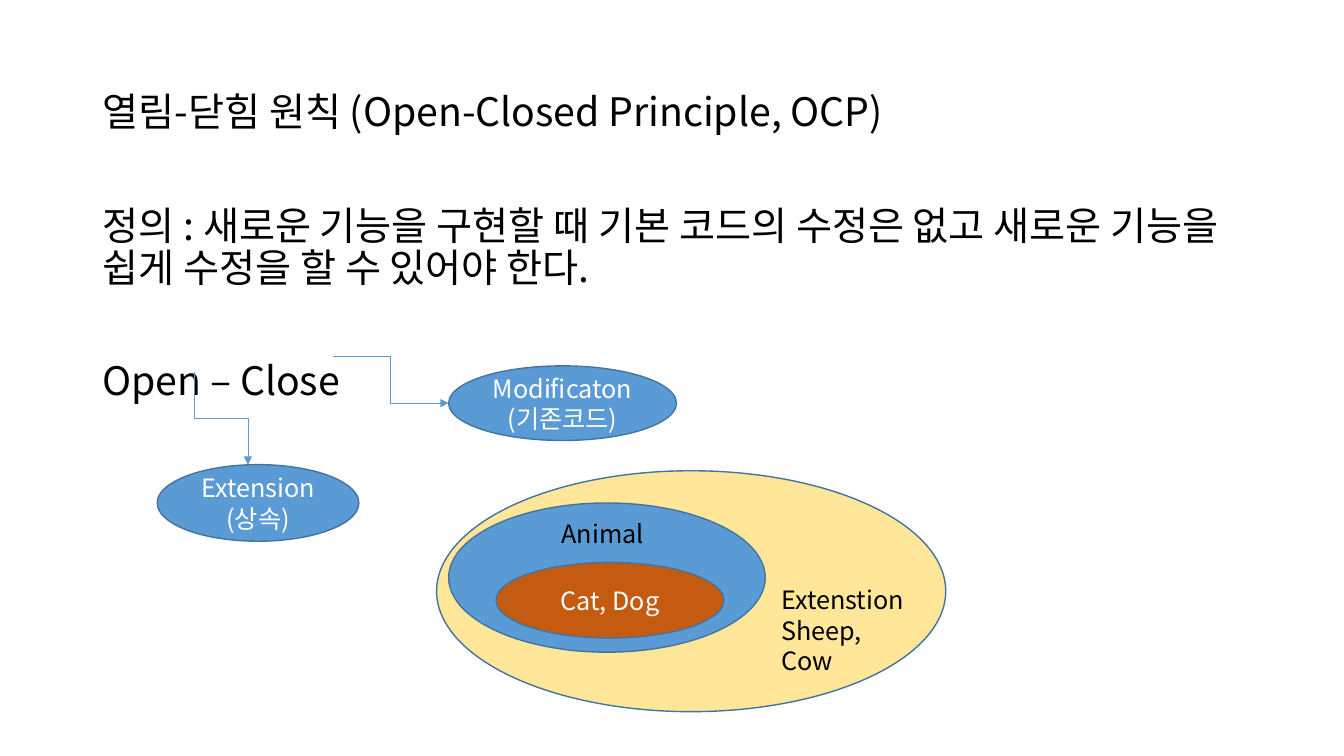
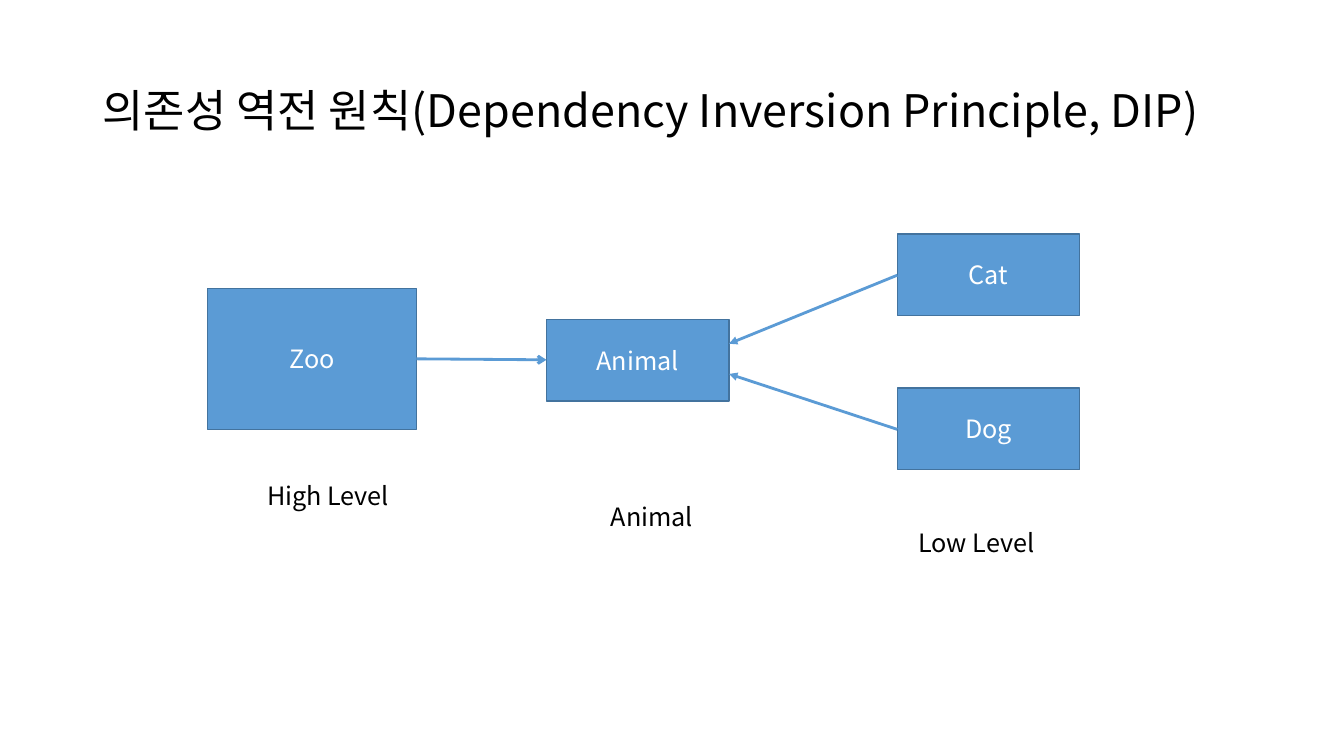
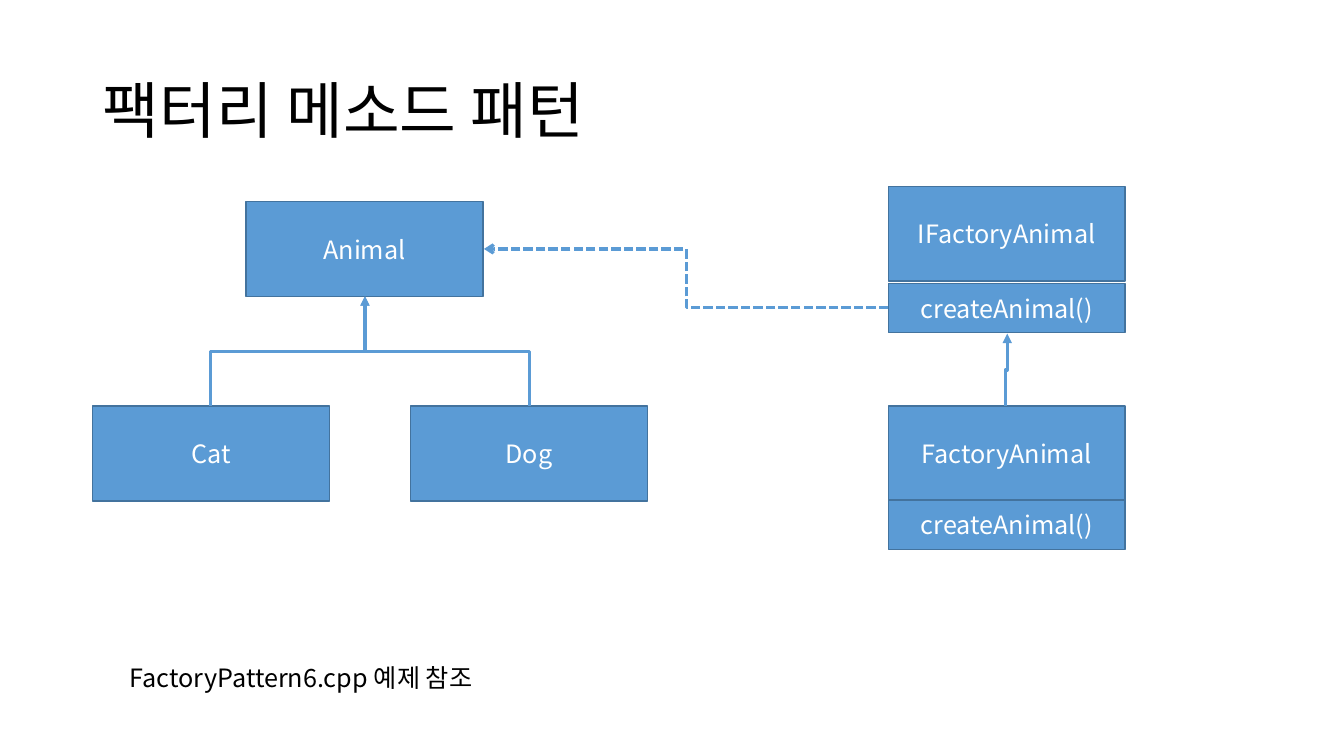
"""Build three slides on the open-closed principle, dependency inversion and the factory method."""
import dataclasses

import lxml.etree
import pptx
import pptx.dml.color
import pptx.enum.dml
import pptx.enum.shapes
import pptx.enum.text
import pptx.oxml.ns
import pptx.util

Inches = pptx.util.Inches
Pt = pptx.util.Pt
RGB = pptx.dml.color.RGBColor.from_string
qn = pptx.oxml.ns.qn
ALIGN = pptx.enum.text.PP_ALIGN
ANCHOR = pptx.enum.text.MSO_ANCHOR
OVAL = pptx.enum.shapes.MSO_SHAPE.OVAL
RECT = pptx.enum.shapes.MSO_SHAPE.RECTANGLE


@dataclasses.dataclass(frozen=True)
class Theme:
    font: str = "Noto Sans CJK KR"
    ink: str = "000000"
    paper: str = "FFFFFF"
    blue: str = "5B9BD5"
    outline: str = "43739E"
    yellow: str = "FFE699"
    orange: str = "C55A11"
    label: int = 18
    body: int = 28
    heading: float = 0.9


theme = Theme()


def write(sp, lines, size, color, align=ALIGN.LEFT, anchor=ANCHOR.TOP, spacing=1.0, gap=0):
    tf = sp.text_frame
    tf.word_wrap = True
    tf.vertical_anchor = anchor
    for i, line in enumerate(lines):
        p = tf.add_paragraph() if i else tf.paragraphs[0]
        p.alignment = align
        p.line_spacing = spacing
        p.space_before = Pt(gap if i else 0)
        r = p.add_run()
        r.text = line
        r.font.size = Pt(size)
        r.font.color.rgb = RGB(color)
        r.font.name = theme.font
        lxml.etree.SubElement(r.font._element, qn("a:ea"), typeface=theme.font)


def connect(s, route, x1, y1, x2, y2, width, arrow="triangle", dashed=False):
    """Draw an arrow; a vertical route is an elbow that leaves and arrives vertically."""
    kinds = pptx.enum.shapes.MSO_CONNECTOR
    kind = kinds.STRAIGHT if route == "straight" else kinds.ELBOW
    rotation = 0
    if route == "vertical":
        down = y2 > y1
        rotation = 90 if down else 270
        cx, cy = (x1 + x2) / 2, (y1 + y2) / 2
        run = abs(y2 - y1) / 2
        rise = (x2 - x1) / 2 if down else (x1 - x2) / 2
        x1, y1, x2, y2 = cx - run, cy + rise, cx + run, cy - rise
    sp = s.shapes.add_connector(kind, Inches(x1), Inches(y1), Inches(x2), Inches(y2))
    spPr = sp._element.spPr
    if rotation:
        spPr.find(qn("a:xfrm")).set("rot", str(rotation * 60000))
    sp.line.color.rgb = RGB(theme.blue)
    sp.line.width = Pt(width)
    if dashed:
        sp.line.dash_style = pptx.enum.dml.MSO_LINE.SQUARE_DOT
    lxml.etree.SubElement(spPr.find(qn("a:ln")), qn("a:tailEnd"), type=arrow)
    lxml.etree.SubElement(spPr, qn("a:effectLst"))


box_w, box_h = 1.81, 0.81
class_w, class_h, method_h = 2.35, 0.94, 0.49
factory_x, child_y = 8.81, 4.03

deck = [
    {
        "title": ("열림-닫힘 원칙 (Open-Closed Principle, OCP)", 28),
        "body": [
            "정의 : 새로운 기능을 구현할 때 기본 코드의 수정은 없고 새로운 기능을 쉽게 수정을 할 수 있어야 한다.",
            "Open – Close",
        ],
        "shapes": [
            (OVAL, 4.33, 4.67, 5.05, 2.39, theme.yellow, []),
            (OVAL, 1.56, 4.61, 2, 0.76, theme.blue, ["Extension", "(상속)"]),
            (OVAL, 4.45, 3.63, 2.26, 0.74, theme.blue, ["Modificaton", "(기존코드)"]),
            (OVAL, 4.45, 4.99, 3.14, 1.48, theme.blue, []),
            (OVAL, 4.92, 5.58, 2.26, 0.75, theme.orange, ["Cat, Dog"]),
        ],
        "labels": [
            (5.47, 5.09, 1.29, 0.4, ["Animal"]),
            (7.65, 5.75, 1.5, 0.71, ["Extenstion", "Sheep, Cow"]),
        ],
        "arrows": [
            ("vertical", 1.93, 3.69, 2.46, 4.61, 0.5),
            ("horizontal", 3.3, 3.54, 4.45, 4, 0.5),
        ],
    },
    {
        "title": ("의존성 역전 원칙(Dependency Inversion Principle, DIP)", 32),
        "body": [],
        "shapes": [
            (RECT, 2.06, 2.86, 2.07, 1.4, theme.blue, ["Zoo"]),
            (RECT, 8.9, 2.32, box_w, box_h, theme.blue, ["Cat"]),
            (RECT, 8.9, 3.85, box_w, box_h, theme.blue, ["Dog"]),
            (RECT, 5.42, 3.17, box_w, box_h, theme.blue, ["Animal"]),
        ],
        "labels": [
            (2.55, 4.72, 1.58, 0.4, ["High Level"]),
            (9.01, 5.18, 1.58, 0.4, ["Low Level"]),
            (5.96, 4.92, 1.58, 0.4, ["Animal"]),
        ],
        "arrows": [
            ("straight", 8.9, 2.73, 7.23, 3.41, 2),
            ("straight", 8.9, 4.26, 7.23, 3.71, 2),
            ("straight", 4.13, 3.56, 5.42, 3.57, 2, "arrow"),
        ],
    },
    {
        "title": ("팩터리 메소드 패턴", 44),
        "body": [],
        "shapes": [
            (RECT, 2.44, 2, class_w, class_h, theme.blue, ["Animal"]),
            (RECT, 0.92, child_y, class_w, class_h, theme.blue, ["Cat"]),
            (RECT, 4.07, child_y, class_w, class_h, theme.blue, ["Dog"]),
            (RECT, factory_x, 1.85, class_w, class_h, theme.blue, ["IFactoryAnimal"]),
            (RECT, factory_x, child_y, class_w, class_h, theme.blue, ["FactoryAnimal"]),
            (RECT, factory_x, 4.96, class_w, method_h, theme.blue, ["createAnimal()"]),
            (RECT, factory_x, 2.81, class_w, method_h, theme.blue, ["createAnimal()"]),
        ],
        "labels": [(1.19, 6.52, 4.67, 0.4, ["FactoryPattern6.cpp 예제 참조"])],
        "arrows": [
            ("vertical", 2.09, child_y, 3.62, 2.94, 2.25),
            ("vertical", 5.25, child_y, 3.62, 2.94, 2.25),
            ("vertical", 9.97, child_y, 9.99, 3.31, 2.25),
            ("horizontal", factory_x, 3.05, 4.8, 2.47, 2.25, "arrow", True),
        ],
    },
]

prs = pptx.Presentation()
prs.slide_width = Inches(13.33)
prs.slide_height = Inches(7.5)

for page in deck:
    s = prs.slides.add_slide(prs.slide_layouts[6])
    title, title_size = page["title"]
    sp = s.shapes.add_textbox(Inches(0.92), Inches(0.4), Inches(11.5), Inches(1.45))
    write(sp, [title], title_size, theme.ink, anchor=ANCHOR.MIDDLE, spacing=theme.heading)

    for kind, x, y, w, h, fill, lines in page["shapes"]:
        sp = s.shapes.add_shape(kind, Inches(x), Inches(y), Inches(w), Inches(h))
        sp.shadow.inherit = False
        sp.fill.solid()
        sp.fill.fore_color.rgb = RGB(fill)
        sp.line.color.rgb = RGB(theme.outline)
        sp.line.width = Pt(1)
        write(sp, lines, theme.label, theme.paper, ALIGN.CENTER, ANCHOR.MIDDLE)

    if page["body"]:
        sp = s.shapes.add_textbox(Inches(0.92), Inches(2), Inches(11.5), Inches(4.76))
        write(sp, page["body"], theme.body, theme.ink, spacing=theme.heading, gap=50)

    for x, y, w, h, lines in page["labels"]:
        sp = s.shapes.add_textbox(Inches(x), Inches(y), Inches(w), Inches(h))
        write(sp, lines, theme.label, theme.ink)

    for arrow in page["arrows"]:
        connect(s, *arrow)

prs.save("out.pptx")
